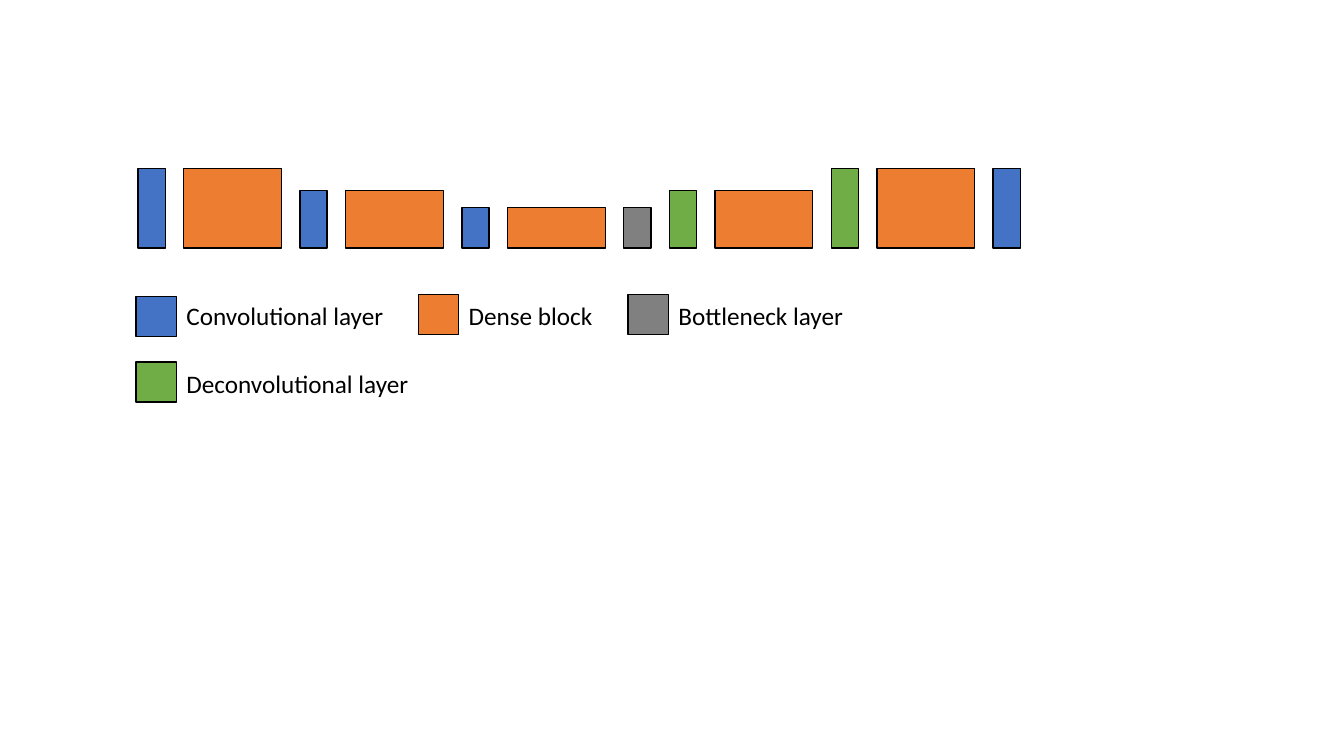
import pptx
import pptx.util
import pptx.dml.color
import pptx.enum.shapes
import pptx.enum.text
from pptx.util import Inches

BLUE, ORANGE, GREEN, GRAY, BLACK = "4472C4", "ED7D31", "70AD47", "808080", "000000"
THIN, WIDE = 0.27, 0.97
TALL, MID, LOW = 0.79, 0.57, 0.4
LEFT, RIGHT, BASE = 1.37, 10.12, 2.46
KEY = 0.4

LAYERS = [
    (BLUE, THIN, TALL), (ORANGE, WIDE, TALL),
    (BLUE, THIN, MID), (ORANGE, WIDE, MID),
    (BLUE, THIN, LOW), (ORANGE, WIDE, LOW),
    (GRAY, THIN, LOW),
    (GREEN, THIN, MID), (ORANGE, WIDE, MID),
    (GREEN, THIN, TALL), (ORANGE, WIDE, TALL),
    (BLUE, THIN, TALL),
]

LEGEND = [
    (BLUE, "Convolutional layer", 1.35, 2.94, 2.93, 2.18),
    (ORANGE, "Dense block", 4.15, 2.92, 2.93, 1.44),
    (GRAY, "Bottleneck layer", 6.23, 2.92, 2.93, 1.86),
    (GREEN, "Deconvolutional layer", 1.35, 3.59, 3.61, 2.43),
]


def color(code):
    return pptx.dml.color.RGBColor.from_string(code)


class Page:
    font = "Calibri"
    size = 18
    line = 1

    def __init__(self, slide):
        self.group = slide.shapes.add_group_shape()

    def box(self, fill, left, top, width, height):
        shape = self.group.shapes.add_shape(
            pptx.enum.shapes.MSO_SHAPE.RECTANGLE,
            Inches(left), Inches(top), Inches(width), Inches(height))
        shape.shadow.inherit = False
        shape.fill.solid()
        shape.fill.fore_color.rgb = color(fill)
        shape.line.color.rgb = color(BLACK)
        shape.line.width = pptx.util.Pt(self.line)

    def label(self, text, left, top, width, height):
        frame = self.group.shapes.add_textbox(
            Inches(left), Inches(top), Inches(width), Inches(height)).text_frame
        frame.word_wrap = False
        frame.auto_size = pptx.enum.text.MSO_AUTO_SIZE.SHAPE_TO_FIT_TEXT
        para = frame.paragraphs[0]
        para.text = text
        para.font.name = self.font
        para.font.size = pptx.util.Pt(self.size)
        para.font.color.rgb = color(BLACK)


def main():
    deck = pptx.Presentation()
    deck.slide_width, deck.slide_height = Inches(13.33), Inches(7.5)
    page = Page(deck.slides.add_slide(deck.slide_layouts[6]))

    total = sum(width for _, width, _ in LAYERS)
    gap = (RIGHT - LEFT - total) / (len(LAYERS) - 1)
    left = LEFT
    for fill, width, height in LAYERS:
        page.box(fill, left, BASE - height, width, height)
        left += width + gap

    for fill, text, left, top, row, width in LEGEND:
        page.box(fill, left, top, KEY, KEY)
        page.label(text, left + KEY, row, width, KEY)

    deck.save("out.pptx")


if __name__ == "__main__":
    main()
